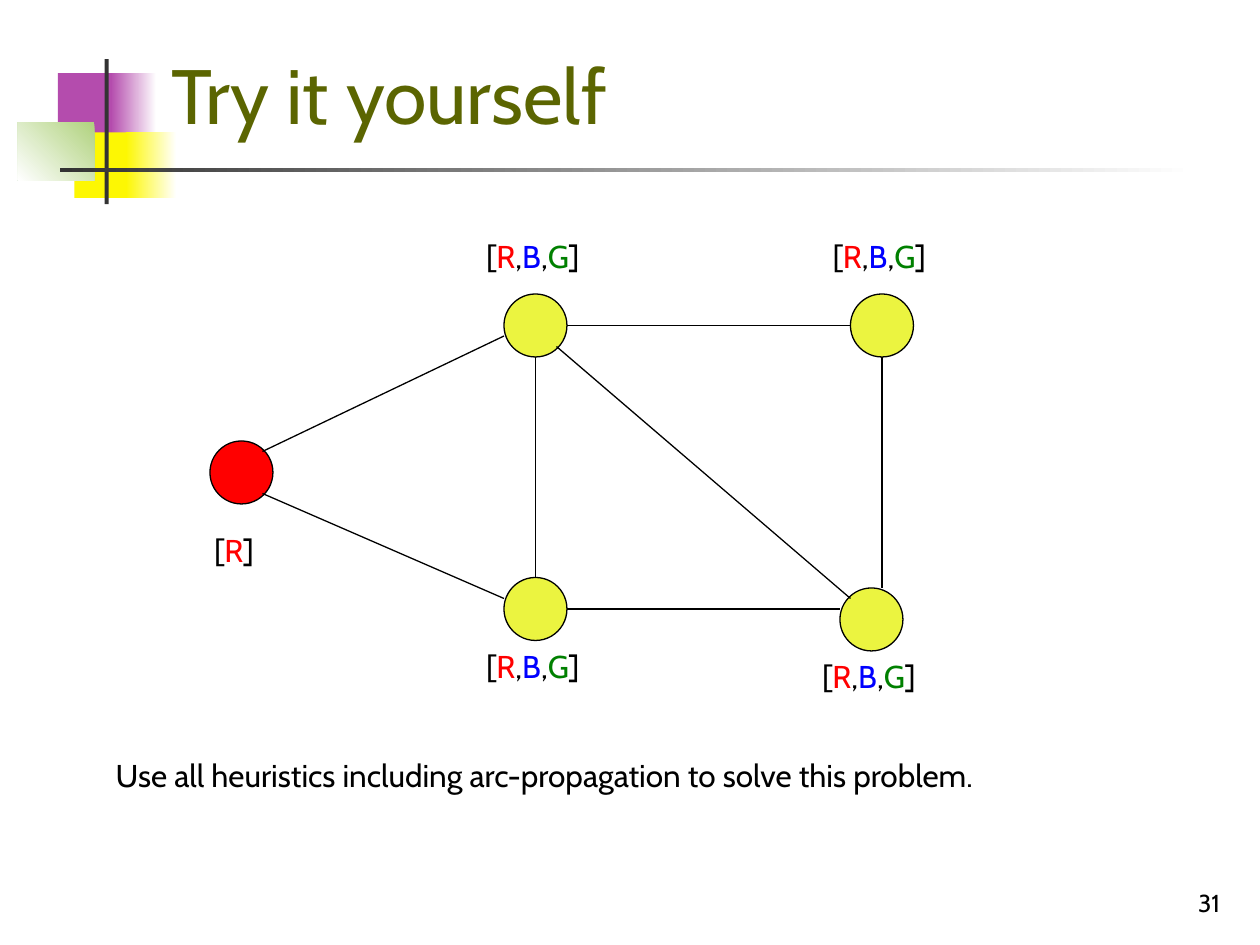
from pptx import Presentation
from pptx.dml.color import RGBColor
from pptx.enum.shapes import MSO_CONNECTOR, MSO_SHAPE
from pptx.enum.text import MSO_ANCHOR, MSO_AUTO_SIZE, PP_ALIGN
from pptx.oxml.ns import qn
from pptx.util import Inches, Pt

RECT, OVAL = MSO_SHAPE.RECTANGLE, MSO_SHAPE.OVAL
STRAIGHT = MSO_CONNECTOR.STRAIGHT
TOP, BOTTOM = MSO_ANCHOR.TOP, MSO_ANCHOR.BOTTOM
LEFT, RIGHT = PP_ALIGN.LEFT, PP_ALIGN.RIGHT
NO_FIT, GROW = MSO_AUTO_SIZE.NONE, MSO_AUTO_SIZE.SHAPE_TO_FIT_TEXT

BLACK = RGBColor(0x00, 0x00, 0x00)
WHITE = RGBColor(0xFF, 0xFF, 0xFF)
RED = RGBColor(0xFF, 0x00, 0x00)
BLUE = RGBColor(0x00, 0x00, 0xFF)
GREEN = RGBColor(0x00, 0x80, 0x00)
LIME = RGBColor(0xEB, 0xF4, 0x40)
OLIVE = RGBColor(0x5B, 0x65, 0x01)
PURPLE = RGBColor(0xB4, 0x4C, 0xAD)
YELLOW = RGBColor(0xFD, 0xF7, 0x03)
PALE_GREEN = RGBColor(0xB0, 0xD2, 0x7E)
GRAY = RGBColor(0x33, 0x33, 0x33)

FONT = "Cabin"
DOMAIN_COLORS = {"R": RED, "B": BLUE, "G": GREEN}
COLS, ROWS = 120, 90  # grid of 1/12 inch
NODE = 6  # node diameter in grid units


class GraphSlide:
    def __init__(self, prs):
        self.slide = prs.slides.add_slide(prs.slide_layouts[5])
        self.col = prs.slide_width / COLS
        self.row = prs.slide_height / ROWS

    def box(self, x, y, w, h):
        return (round(x * self.col), round(y * self.row),
                round(w * self.col), round(h * self.row))

    def shape(self, kind, at, color, outline=False):
        sp = self.slide.shapes.add_shape(kind, *self.box(*at))
        sp.shadow.inherit = False
        sp.fill.solid()
        sp.fill.fore_color.rgb = color
        if outline:
            sp.line.color.rgb = BLACK
            sp.line.width = Pt(0.75)
        else:
            sp.line.fill.background()
        return sp

    def fade(self, at, start, end, angle=180):
        sp = self.shape(RECT, at, end)
        sp.fill.gradient()
        sp.fill.gradient_angle = angle
        for stop, color in zip(sp.fill.gradient_stops, (start, end)):
            stop.color.rgb = color

    def edge(self, x1, y1, x2, y2):
        line = self.slide.shapes.add_connector(
            STRAIGHT, *self.box(x1, y1, x2, y2))
        line.line.color.rgb = BLACK
        line.line.width = Pt(0.75)
        sp_pr = line._element.spPr
        sp_pr.append(sp_pr.makeelement(qn("a:effectLst"), {}))

    def title(self, at, text):
        sp = self.slide.shapes.title
        sp.left, sp.top, sp.width, sp.height = self.box(*at)
        tf = sp.text_frame
        tf.text = text
        tf.auto_size = NO_FIT
        self.style(tf, 44, OLIVE, BOTTOM, LEFT)

    def style(self, tf, size, color, anchor, align):
        tf.vertical_anchor = anchor
        p = tf.paragraphs[0]
        p.alignment = align
        p.font.name, p.font.size = FONT, Pt(size)
        p.font.color.rgb = color

    def text(self, at, text, size=18, anchor=TOP, align=LEFT, grow=True):
        tf = self.slide.shapes.add_textbox(*self.box(*at)).text_frame
        tf.word_wrap = not grow
        tf.auto_size = GROW if grow else NO_FIT
        tf.text = text
        self.style(tf, size, BLACK, anchor, align)

    def domain(self, at, values):
        self.text(at, "")
        p = self.slide.shapes[-1].text_frame.paragraphs[0]
        for char in f"[{','.join(values)}]":
            r = p.add_run()
            r.text = char
            r.font.color.rgb = DOMAIN_COLORS.get(char, BLACK)


def main():
    prs = Presentation()
    prs.slide_width, prs.slide_height = Inches(10), Inches(7.5)
    s = GraphSlide(prs)

    # Corner ornament and title rule
    s.shape(RECT, (5.52, 6.96, 5.76, 6.24), PURPLE)
    s.fade((10.56, 6.96, 4.32, 6.24), WHITE, PURPLE)
    s.shape(RECT, (7.08, 12.6, 5.52, 6.24), YELLOW)
    s.fade((12, 12.6, 4.8, 6.24), WHITE, YELLOW)
    s.fade((1.68, 11.64, 7.32, 5.52), PALE_GREEN, WHITE, 225)
    s.shape(RECT, (9.96, 5.64, 0.4, 13.8), GRAY)
    s.fade((5.76, 15.96, 108, 0.4), WHITE, GRAY)

    s.title((15.12, 2.76, 102.24, 11.16), "Try it yourself")

    # Nodes
    for x, y, color in ((20, 42, RED), (48, 55, LIME), (48, 28, LIME),
                        (80, 56, LIME), (81, 28, LIME)):
        s.shape(OVAL, (x, y, NODE, NODE), color, outline=True)

    # Constraint edges
    for ends in ((25, 43, 48, 32), (25, 47, 48, 57), (51, 34, 51, 55),
                 (54, 31, 81, 31), (84, 34, 84, 56), (54, 58, 80, 58),
                 (53, 33, 81, 57)):
        s.edge(*ends)

    # Domains
    s.domain((19.2, 50, 6.24, 4.8), "R")
    for x, y in ((78.12, 22), (45.12, 22), (45.12, 61), (77.12, 62)):
        s.domain((x, y, 12, 4.8), "RBG")

    # Task and slide number
    s.text((9.84, 71.4, 94.68, 4.8),
           "Use all heuristics including arc-propagation to solve this problem.")
    s.text((92.4, 82, 25, 6), "31", 14, BOTTOM, RIGHT, grow=False)

    prs.save("out.pptx")


if __name__ == "__main__":
    main()
